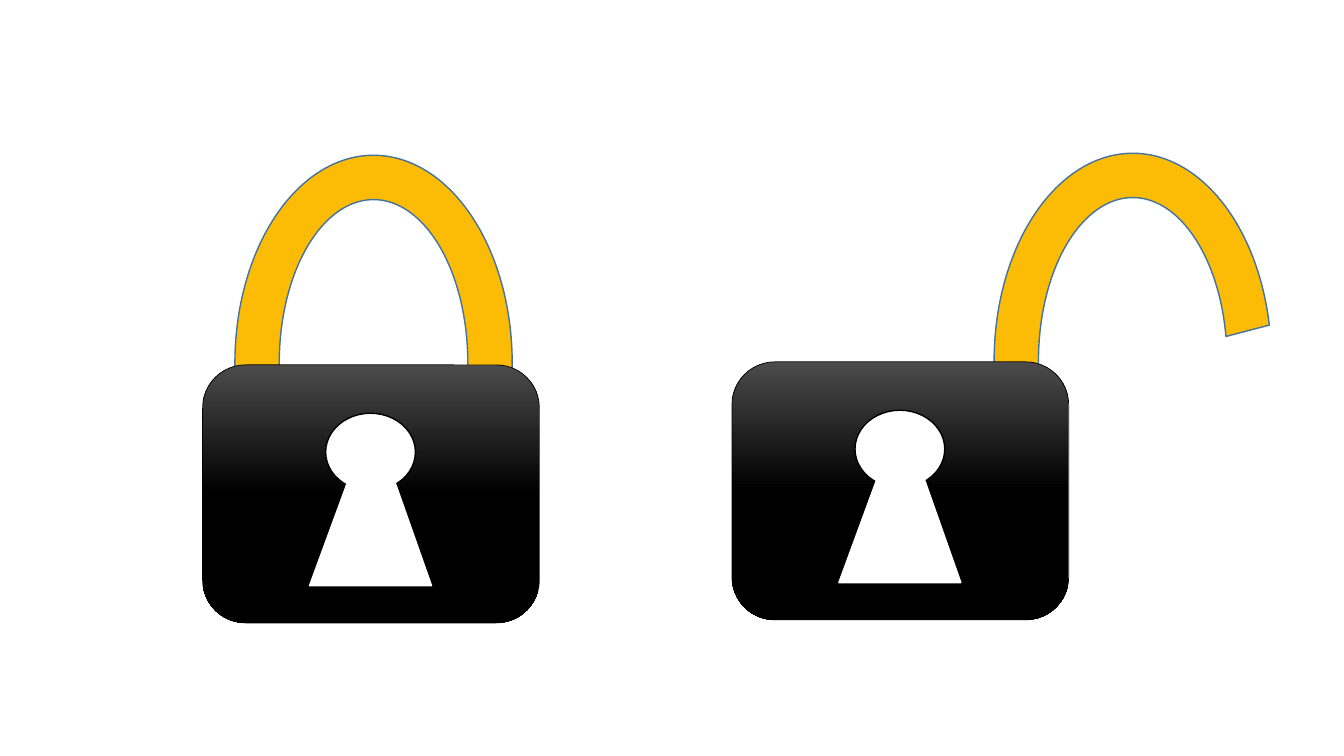
"""Build a slide with a closed and an open padlock."""
from pptx import Presentation
from pptx.dml.color import RGBColor
from pptx.enum import shapes
from pptx.util import Inches, Pt

KIND = shapes.MSO_SHAPE
GOLD, STEEL, GREY, BLACK, WHITE = "FCBB04", "43739E", "4B4B4B", "000000", "FFFFFF"

LOCKS = [
    {"corner": (2.01, 3.62), "shackle": (0.32, -2.08), "arc": (99.98, 2.46, 0.16)},
    {"corner": (7.26, 3.59), "shackle": (2.6, -2.07), "arc": (99.98, 207.2, 0.16)},
]
SHACKLE_SIZE = (2.75, 4.12)
BODY_SIZE = (3.34, 2.56)
KEYHOLE = [
    (KIND.OVAL, (1.22, 0.48), (0.89, 0.77), BLACK, ()),
    (KIND.ISOSCELES_TRIANGLE, (1.06, 0.51), (1.21, 1.68), WHITE, (0.51,)),
]


def color(code):
    return RGBColor.from_string(code)


def add_part(page, kind, corner, offset, size, line, width=1, fill=None, adjust=()):
    place = [start + shift for start, shift in zip(corner, offset)]
    part = page.shapes.add_shape(kind, *map(Inches, (*place, *size)))
    part.shadow.inherit = False
    part.line.color.rgb = color(line)
    part.line.width = Pt(width)
    for index, value in enumerate(adjust):
        part.adjustments[index] = value
    if fill:
        part.fill.solid()
        part.fill.fore_color.rgb = color(fill)
    return part


def shade(body):
    body.fill.gradient()
    body.fill.gradient_angle = 270
    for stop, position, code in zip(body.fill.gradient_stops, (0, 0.5), (GREY, BLACK)):
        stop.position = position
        stop.color.rgb = color(code)


def add_lock(page, corner, shackle, arc):
    add_part(page, KIND.BLOCK_ARC, corner, shackle, SHACKLE_SIZE, STEEL, fill=GOLD, adjust=arc)
    shade(add_part(page, KIND.ROUNDED_RECTANGLE, corner, (0, 0), BODY_SIZE, BLACK, width=0.5))
    for kind, offset, size, line, adjust in KEYHOLE:
        add_part(page, kind, corner, offset, size, line, fill=WHITE, adjust=adjust)


def main():
    deck = Presentation()
    deck.slide_width, deck.slide_height = Inches(13.33), Inches(7.5)
    page = deck.slides.add_slide(deck.slide_layouts[6])
    for lock in LOCKS:
        add_lock(page, **lock)
    deck.save("out.pptx")


if __name__ == "__main__":
    main()
